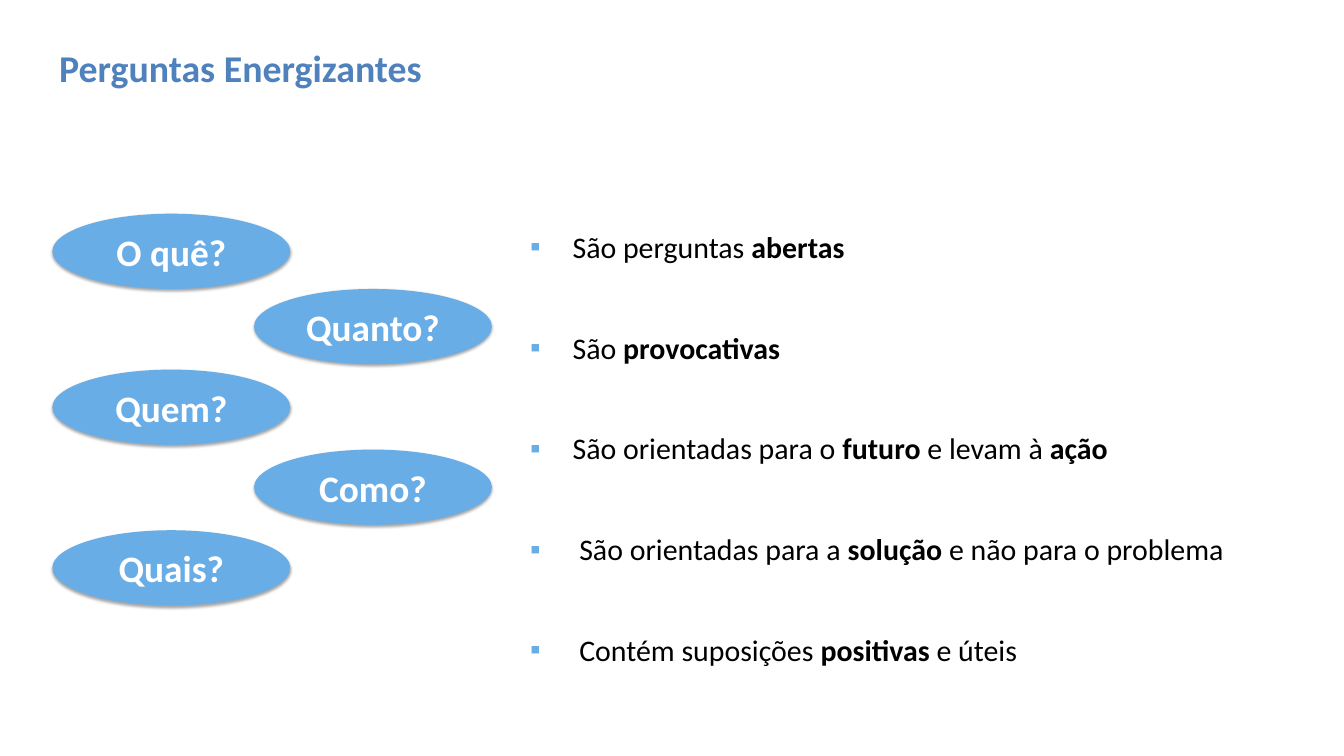
from dataclasses import dataclass

from lxml.etree import SubElement as Sub
from pptx import Presentation
from pptx.dml.color import RGBColor as Rgb
from pptx.enum.shapes import MSO_SHAPE as Shape
from pptx.enum.text import MSO_ANCHOR as Anchor, MSO_AUTO_SIZE as Fit, PP_ALIGN as Align
from pptx.oxml.ns import qn
from pptx.util import Inches, Pt


@dataclass(frozen=True)
class Theme:
    """Colours, font and type sizes of the slide."""
    font: str = "Calibri"
    blue: str = "69ADE7"
    head: str = "4F81BD"
    ink: str = "000000"
    white: str = "FFFFFF"
    title: float = 40.5
    label: float = 40
    body: float = 32


THEME = Theme()
LEFT, RIGHT = 0.78, 3.78
OVALS = [
    ("O quê?", LEFT, 3.18),
    ("Quanto?", RIGHT, 4.3),
    ("Quem?", LEFT, 5.5),
    ("Como?", RIGHT, 6.69),
    ("Quais?", LEFT, 7.89),
]
POINTS = [
    (0.63, ["São perguntas ", "abertas"]),
    (0.63, ["São ", "provocativas"]),
    (0.63, ["São orientadas para o ", "futuro", " e levam à ", "ação"]),
    (0.73, ["São orientadas para a ", "solução", " e não para o problema"]),
    (0.73, ["Contém suposições ", "positivas", " e úteis"]),
]


def style(run, size, color, bold=True):
    """Format one run."""
    font = run.font
    font.name, font.size, font.bold = THEME.font, Pt(size), bold
    font.color.rgb = Rgb.from_string(color)


def place(shape, left, top, width, height):
    """Move and size a shape, in inches."""
    shape.left, shape.top = Inches(left), Inches(top)
    shape.width, shape.height = Inches(width), Inches(height)


def set_title(shape, text):
    """Fill the title placeholder."""
    place(shape, 0.78, 0.35, 15.6, 1.31)
    frame = shape.text_frame
    frame.text = text
    frame.auto_size, frame.vertical_anchor = Fit.NONE, Anchor.MIDDLE
    para = frame.paragraphs[0]
    para.alignment = Align.LEFT
    style(para.runs[0], THEME.title, THEME.head)


def add_bullet(para, indent):
    """Give a paragraph a square bullet with a hanging indent."""
    props = para._p.get_or_add_pPr()
    props.set("marL", str(Inches(indent)))
    props.set("indent", str(-Inches(indent)))
    color = Sub(props, qn("a:buClr"))
    Sub(color, qn("a:srgbClr"), val=THEME.blue)
    Sub(props, qn("a:buFont"), typeface="Arial")
    Sub(props, qn("a:buChar"), char="▪")


def set_points(shape, points):
    """Fill the body placeholder, with every second part in bold."""
    place(shape, 7.79, 2.55, 11.02, 7.9)
    frame = shape.text_frame
    frame.auto_size, frame.vertical_anchor = Fit.NONE, Anchor.TOP
    for num, (indent, parts) in enumerate(points):
        para = frame.add_paragraph() if num else frame.paragraphs[0]
        add_bullet(para, indent)
        para.line_spacing = 2.5
        para.space_before, para.space_after = Pt(0), Pt(12)
        for pos, part in enumerate(parts):
            run = para.add_run()
            run.text = part
            style(run, THEME.body, THEME.ink, pos % 2 == 1)


def add_shadow(shape):
    """Cast a soft shadow straight down."""
    effects = Sub(shape._element.spPr, qn("a:effectLst"))
    shadow = Sub(effects, qn("a:outerShdw"), blurRad=str(Pt(3.1)),
                 dist=str(Pt(1.8)), dir="5400000", rotWithShape="0")
    color = Sub(shadow, qn("a:srgbClr"), val="000000")
    Sub(color, qn("a:alpha"), val="35000")


def add_oval(slide, text, left, top):
    """Draw one question word in an ellipse."""
    oval = slide.shapes.add_shape(Shape.OVAL, 0, 0, 0, 0)
    place(oval, left, top, 3.54, 1.12)
    oval.fill.solid()
    oval.fill.fore_color.rgb = Rgb.from_string(THEME.blue)
    oval.line.fill.background()
    add_shadow(oval)
    frame = oval.text_frame
    frame.text = text
    frame.vertical_anchor = Anchor.MIDDLE
    para = frame.paragraphs[0]
    para.alignment = Align.CENTER
    style(para.runs[0], THEME.label, THEME.white)


def main():
    """Build and save the slide."""
    deck = Presentation()
    deck.slide_width, deck.slide_height = Inches(20), Inches(11.25)
    slide = deck.slides.add_slide(deck.slide_layouts[1])
    set_title(slide.shapes.title, "Perguntas Energizantes")
    set_points(slide.placeholders[1], POINTS)
    for text, left, top in OVALS:
        add_oval(slide, text, left, top)
    deck.save("out.pptx")


if __name__ == "__main__":
    main()
